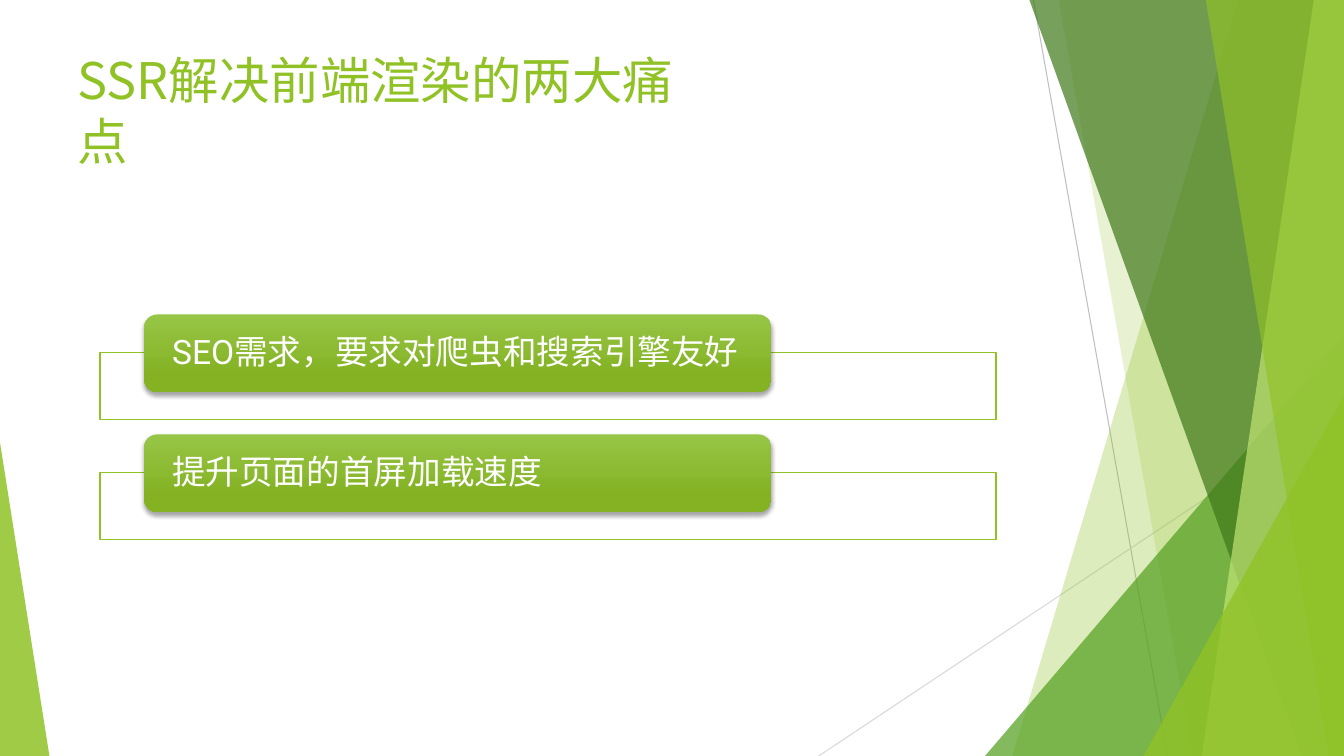
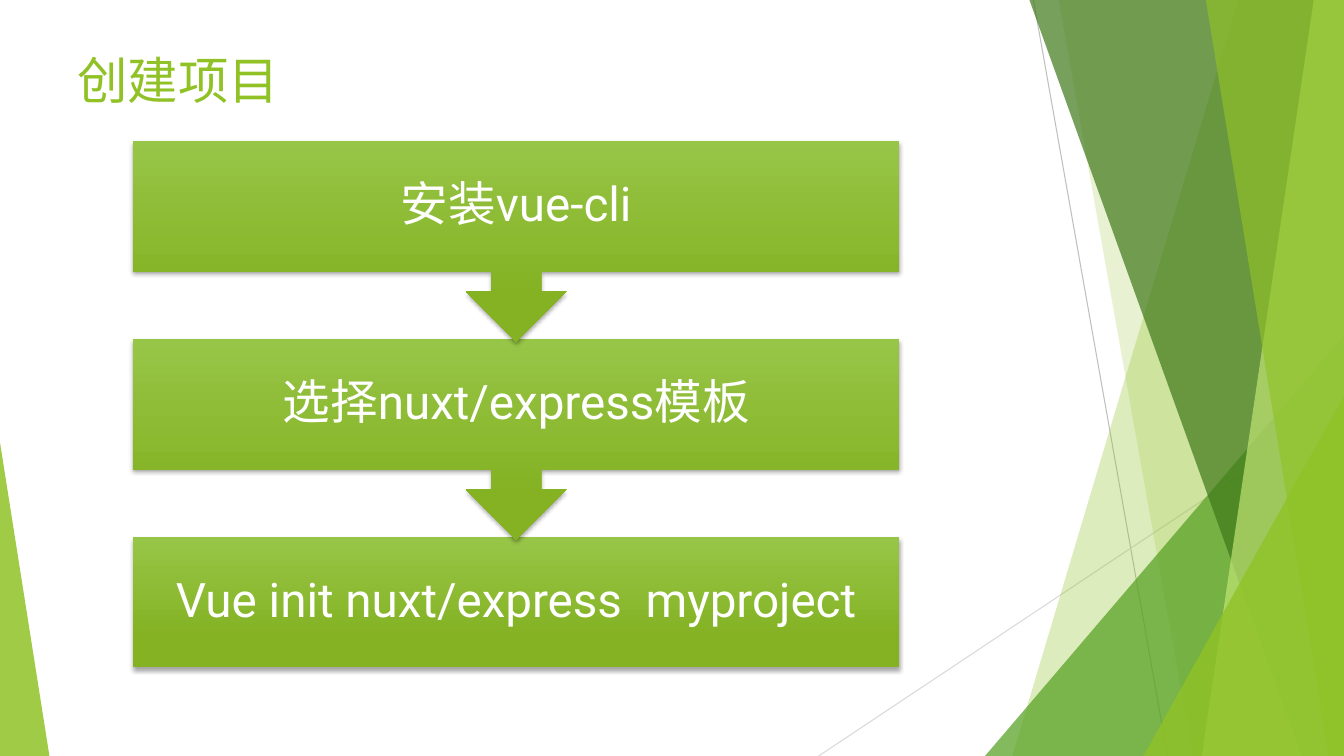
from dataclasses import dataclass

from lxml import etree
from pptx import Presentation
from pptx.dml.color import RGBColor
from pptx.enum.shapes import MSO_CONNECTOR, MSO_SHAPE
from pptx.enum.text import MSO_ANCHOR, PP_ALIGN
from pptx.oxml.ns import qn
from pptx.util import Inches, Pt

RECT = MSO_SHAPE.RECTANGLE
ROUND = MSO_SHAPE.ROUNDED_RECTANGLE
ARROW = MSO_SHAPE.DOWN_ARROW_CALLOUT
WEDGE = MSO_SHAPE.ISOSCELES_TRIANGLE
STRAIGHT = MSO_CONNECTOR.STRAIGHT
LEFT, CENTER = PP_ALIGN.LEFT, PP_ALIGN.CENTER
TOP, MIDDLE = MSO_ANCHOR.TOP, MSO_ANCHOR.MIDDLE

WIDE, HIGH = 13.33, 7.5
GREEN, WHITE = "90C226", "FFFFFF"
LIGHT, DARK = "97C547", "84B223"
HAN, LATIN = "Noto Sans CJK SC", "Roboto"


@dataclass(frozen=True)
class Box:
    left: float
    top: float
    width: float
    height: float

    def sides(self) -> list:
        return [Inches(v) for v in (self.left, self.top, self.width, self.height)]


@dataclass(frozen=True)
class Ray:
    start: tuple
    end: tuple
    color: str


@dataclass(frozen=True)
class Band:
    top: float
    foot: float
    color: str
    alpha: int


@dataclass(frozen=True)
class Peak:
    box: Box
    tip: float
    color: str
    alpha: int


@dataclass(frozen=True)
class Style:
    size: int
    font: str
    color: str
    align: PP_ALIGN
    anchor: MSO_ANCHOR
    inset: tuple
    space: float


TITLE = Style(36, HAN, GREEN, LEFT, TOP, (0.1, 0.05), 1.0)
POINT = Style(24, LATIN, WHITE, LEFT, MIDDLE, (0.24, 0), 0.9)
STEP = Style(34, LATIN, WHITE, CENTER, MIDDLE, (0.26, 0.26), 0.9)

RAYS = (
    Ray((10.25, 0), (11.58, HIGH), "BFBFBF"),
    Ray((WIDE, 4.03), (8.12, HIGH), "D9D9D9"),
)
FACETS = (
    Band(12.28, 10.04, GREEN, 30),
    Band(10.5, 11.83, GREEN, 20),
    Peak(Box(9.77, 3.33, 3.56, 4.17), 1, "54A021", 72),
    Band(10.21, 12.91, "3F7819", 70),
    Band(13.03, 11.92, "C0E474", 70),
    Band(11.96, 13.18, GREEN, 65),
    Peak(Box(11.34, 3.93, 1.99, 3.57), 1, GREEN, 80),
    Peak(Box(0, 4.39, 0.49, 3.11), 0, GREEN, 85),
)

POINTS = ("SEO需求，要求对爬虫和搜索引擎友好", "提升页面的首屏加载速度")
STEPS = ("安装vue-cli", "选择nuxt/express模板", "Vue init nuxt/express  myproject")


def paint(text: str) -> RGBColor:
    return RGBColor.from_string(text)


def apply(target, **values) -> None:
    for name, value in values.items():
        setattr(target, name, value)


def fill(shape, color: str, alpha: int) -> None:
    shape.fill.solid()
    shape.fill.fore_color.rgb = paint(color)
    tint = shape.fill._xPr.find(".//" + qn("a:srgbClr"))
    etree.SubElement(tint, qn("a:alpha"), val=str(alpha * 1000))
    shape.line.fill.background()
    shape.shadow.inherit = False


def gloss(shape) -> None:
    shape.fill.gradient()
    shape.fill.gradient_angle = 270
    stops = shape.fill.gradient_stops
    for stop, place, color in zip(stops, (0, 0.78), (LIGHT, DARK)):
        stop.position = place
        stop.color.rgb = paint(color)
    shape.line.fill.background()
    shape.shadow.inherit = False
    glow = etree.SubElement(
        shape._element.spPr.find(qn("a:effectLst")), qn("a:outerShdw"),
        blurRad=str(Pt(3)), dist=str(Pt(2)), dir="5400000", rotWithShape="0")
    shade = etree.SubElement(glow, qn("a:srgbClr"), val="000000")
    etree.SubElement(shade, qn("a:alpha"), val="35000")


def write(shape, text: str, style: Style) -> None:
    frame = shape.text_frame
    side, edge = (Inches(v) for v in style.inset)
    apply(frame, word_wrap=True, vertical_anchor=style.anchor,
          margin_left=side, margin_right=side, margin_top=edge, margin_bottom=edge)
    para = frame.paragraphs[0]
    apply(para, alignment=style.align, line_spacing=style.space)
    run = para.add_run()
    run.text = text
    apply(run.font, size=Pt(style.size), name=style.font)
    run.font.color.rgb = paint(style.color)
    latin = run.font._element.find(qn("a:latin"))
    latin.addnext(etree.Element(qn("a:ea"), typeface=HAN))


def draw_ray(slide, ray: Ray) -> None:
    ends = [Inches(v) for v in ray.start + ray.end]
    line = slide.shapes.add_connector(STRAIGHT, *ends)
    line.line.color.rgb = paint(ray.color)
    line.line.width = Pt(0.75)
    etree.SubElement(line._element.spPr, qn("a:effectLst"))


def draw_facet(slide, facet: Band | Peak) -> None:
    if isinstance(facet, Peak):
        shape = slide.shapes.add_shape(WEDGE, *facet.box.sides())
        shape.adjustments[0] = facet.tip
    else:
        spots = ((facet.top, 0), (WIDE, 0), (WIDE, HIGH), (facet.foot, HIGH))
        first, *rest = [(Inches(x), Inches(y)) for x, y in spots]
        pen = slide.shapes.build_freeform(*first)
        pen.add_line_segments(rest, close=True)
        shape = pen.convert_to_shape()
    fill(shape, facet.color, facet.alpha)


def add_slide(deck, title: str, width: float):
    slide = deck.slides.add_slide(deck.slide_layouts[6])
    for ray in RAYS:
        draw_ray(slide, ray)
    for facet in FACETS:
        draw_facet(slide, facet)
    box = Box(0.67, 0.44, width, 0.71)
    write(slide.shapes.add_textbox(*box.sides()), title, TITLE)
    return slide


def add_card(slide, kind: MSO_SHAPE, box: Box, text: str, style: Style) -> None:
    card = slide.shapes.add_shape(kind, *box.sides())
    gloss(card)
    write(card, text, style)


def add_points(slide) -> None:
    for row, text in enumerate(POINTS):
        top = 3.12 + row * 1.19
        frame = slide.shapes.add_shape(RECT, *Box(0.99, top + 0.38, 8.89, 0.66).sides())
        fill(frame, WHITE, 90)
        frame.line.color.rgb = paint(GREEN)
        frame.line.width = Pt(1)
        add_card(slide, ROUND, Box(1.43, top, 6.22, 0.77), text, POINT)


def add_steps(slide) -> None:
    last = len(STEPS) - 1
    for row in range(last, -1, -1):
        kind, height = (RECT, 1.29) if row == last else (ARROW, 1.99)
        box = Box(1.32, 1.4 + row * 1.965, 7.6, height)
        add_card(slide, kind, box, STEPS[row], STEP)


def main() -> None:
    deck = Presentation()
    apply(deck, slide_width=Inches(WIDE), slide_height=Inches(HIGH))
    add_points(add_slide(deck, "SSR解决前端渲染的两大痛点", 6.51))
    add_steps(add_slide(deck, "创建项目", 2.22))
    deck.save("out.pptx")


if __name__ == "__main__":
    main()
